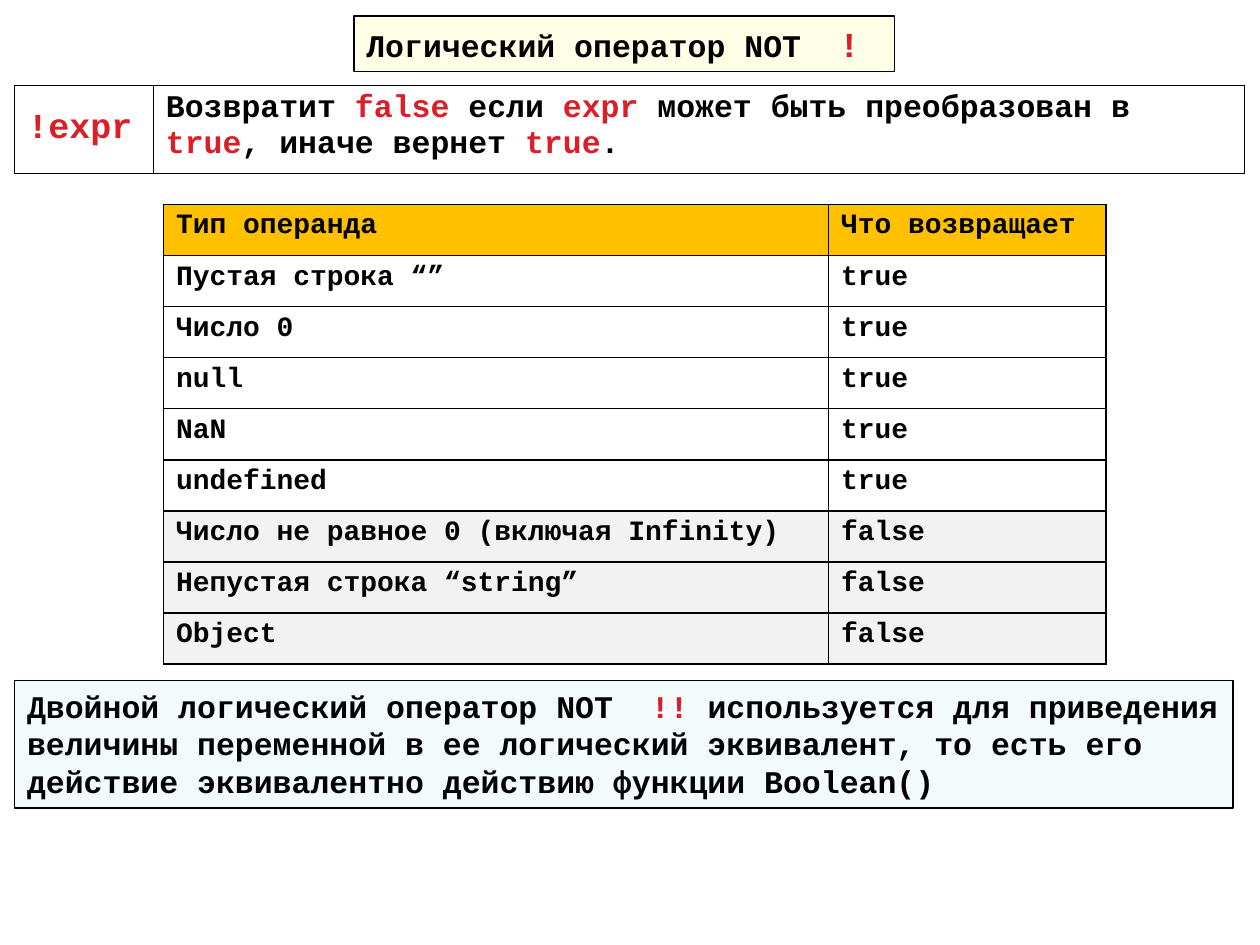
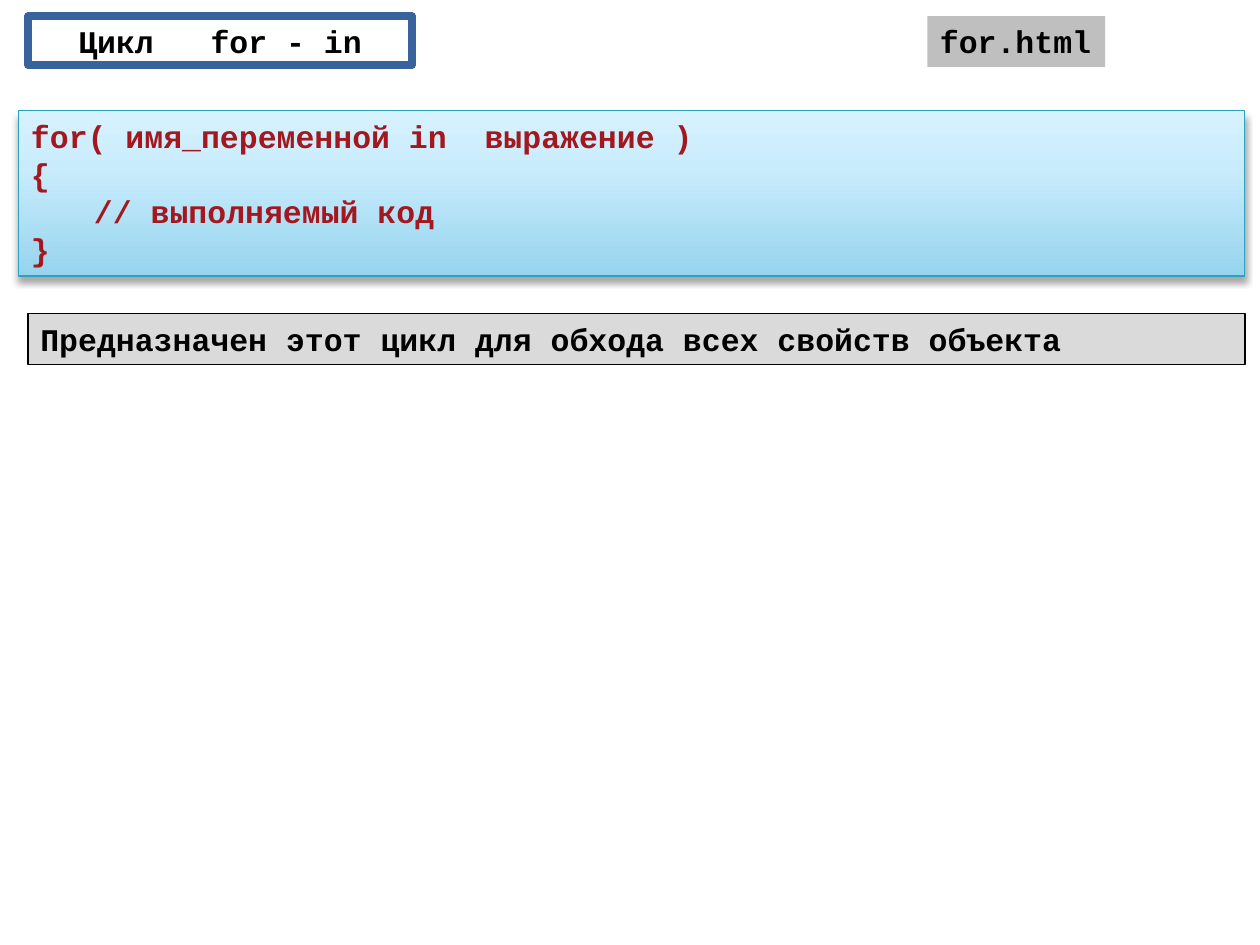
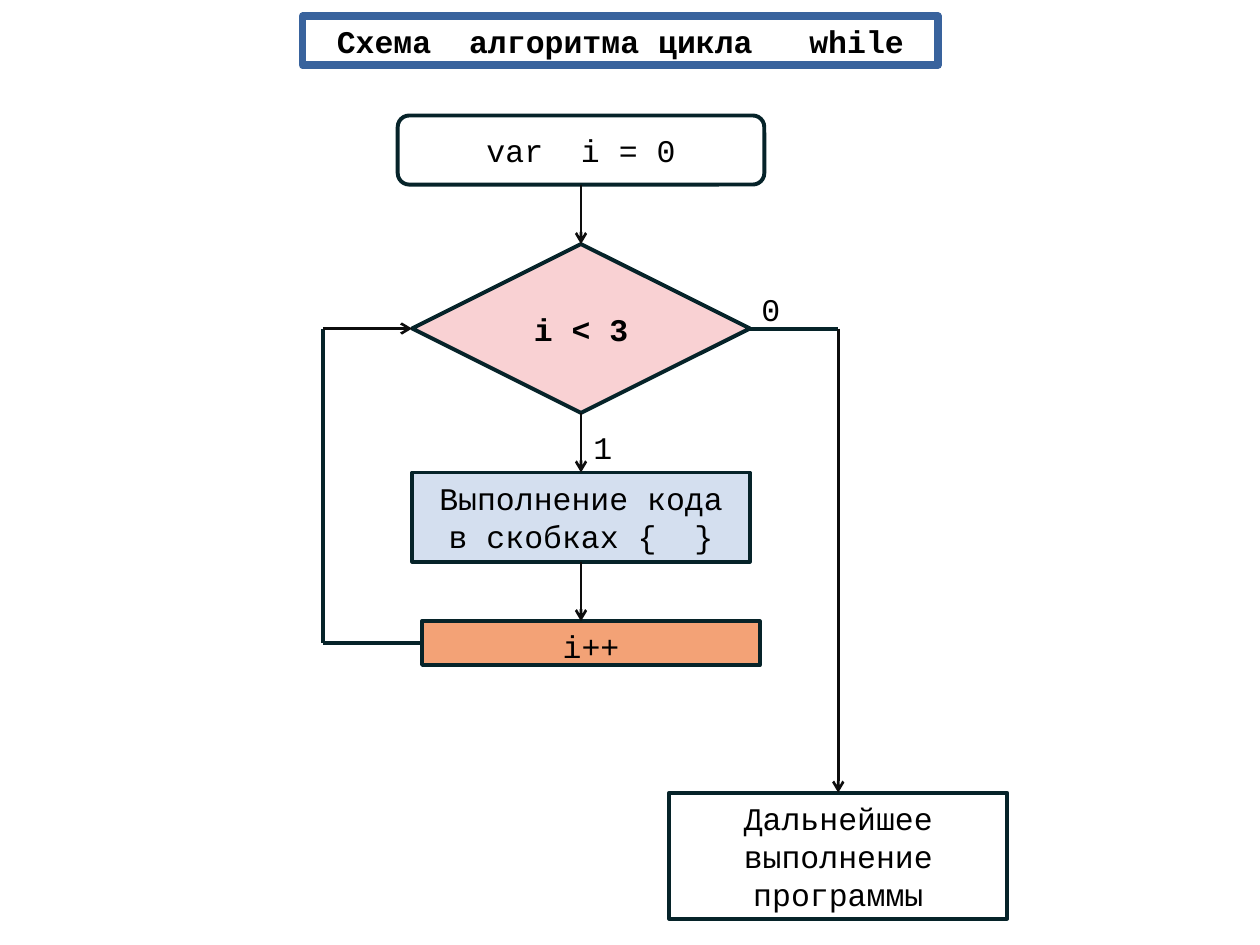
from lxml import etree
from pptx import Presentation
from pptx.dml.color import RGBColor
from pptx.enum.shapes import MSO_CONNECTOR, MSO_SHAPE
from pptx.enum.text import MSO_ANCHOR, PP_ALIGN
from pptx.oxml.ns import qn
from pptx.util import Pt

RECT = MSO_SHAPE.RECTANGLE
ROUNDED = MSO_SHAPE.ROUNDED_RECTANGLE
DIAMOND = MSO_SHAPE.DIAMOND
STRAIGHT = MSO_CONNECTOR.STRAIGHT
LEFT, CENTER = PP_ALIGN.LEFT, PP_ALIGN.CENTER
TOP, MIDDLE = MSO_ANCHOR.TOP, MSO_ANCHOR.MIDDLE
SIDE_TOP, SIDE_LEFT, SIDE_BOTTOM, SIDE_RIGHT = range(4)

# Shared look
FONT = "Courier New"
BLACK, WHITE = "000000", "FFFFFF"
RED, DARK_RED = "DA1F28", "A3171E"
TITLE_BLUE = "39639D"
FLOW_LINE, ARROW_LINE = "062329", "0D0D0D"
TITLE_TOP = 9.25


def rgb(value):
    return RGBColor.from_string(value)


def sub(parent, tag, **attributes):
    return etree.SubElement(parent, qn(tag), attributes)


# Text: a paragraph is a string or a list of runs;
# a run is a string or a tuple (text, colour[, size])
def write(frame, *paragraphs, size=18, color=BLACK, bold=True, align=LEFT,
          leading=None):
    for index, runs in enumerate(paragraphs):
        paragraph = frame.paragraphs[0] if index == 0 else frame.add_paragraph()
        paragraph.alignment = align
        if leading:
            paragraph.line_spacing = Pt(leading)
        for item in [runs] if isinstance(runs, str) else runs:
            text, run_color, run_size = (
                (item, color, size) if isinstance(item, str)
                else (*item, size)[:3])
            run = paragraph.add_run()
            run.text = text
            run.font.name = FONT
            run.font.size = Pt(run_size)
            run.font.bold = bold
            run.font.color.rgb = rgb(run_color)


def add_box(slide, at, *paragraphs, kind=RECT, fill=None, opacity=None,
            line=None, width=0.75, anchor=TOP, wrap=True, leading=21.6,
            **text_format):
    box = slide.shapes.add_shape(kind, *map(Pt, at))
    box.shadow.inherit = False
    if fill:
        box.fill.solid()
        box.fill.fore_color.rgb = rgb(fill)
        if opacity:
            color = box.fill._xPr.find(qn("a:solidFill"))[0]
            sub(color, "a:alpha", val=str(opacity * 1000))
    else:
        box.fill.background()
    if line:
        box.line.color.rgb = rgb(line)
        box.line.width = Pt(width)
    else:
        box.line.fill.background()
    box.text_frame.word_wrap = wrap
    box.text_frame.vertical_anchor = anchor
    write(box.text_frame, *paragraphs, leading=leading, **text_format)
    return box


def add_title(slide, left, width, text):
    add_box(slide, (left, TITLE_TOP, width, 28), text, fill=WHITE,
            line=TITLE_BLUE, width=4.33, anchor=MIDDLE, align=CENTER)


def add_step(slide, at, *paragraphs, bold=False, **options):
    return add_box(slide, at, *paragraphs, line=FLOW_LINE, width=2.25,
                   align=CENTER, bold=bold, **options)


def add_label(slide, left, top, text):
    label = slide.shapes.add_textbox(Pt(left), Pt(top), Pt(28), Pt(28.8))
    label.text_frame.word_wrap = True
    write(label.text_frame, text, bold=False, leading=21.6)


def add_gradient(box, stops, angle):
    box.fill.gradient()
    box.fill.gradient_angle = angle
    stop_list = box.fill._xPr.find(qn("a:gradFill")).find(qn("a:gsLst"))
    for stop in list(stop_list):
        stop_list.remove(stop)
    for position, color in stops:
        stop = sub(stop_list, "a:gs", pos=str(position * 1000))
        sub(stop, "a:srgbClr", val=color)


def add_shadow(box, opacity, blur, distance):
    effects = box._element.spPr.find(qn("a:effectLst"))
    shadow = sub(effects, "a:outerShdw", blurRad=str(Pt(blur)),
                 dist=str(Pt(distance)), dir="5400000", rotWithShape="0")
    color = sub(shadow, "a:srgbClr", val=BLACK)
    sub(color, "a:alpha", val=str(opacity * 1000))


def add_line(slide, start, end, arrow=False):
    """Each end is a point (x, y) or a pair (shape, side)."""
    joined = [not isinstance(tip[0], (int, float)) for tip in (start, end)]
    points = [(0, 0) if is_joined else tip
              for is_joined, tip in zip(joined, (start, end))]
    link = slide.shapes.add_connector(
        STRAIGHT, *(Pt(value) for point in points for value in point))
    if joined[0]:
        link.begin_connect(*start)
    if joined[1]:
        link.end_connect(*end)
    link.line.color.rgb = rgb(ARROW_LINE if arrow else FLOW_LINE)
    link.line.width = Pt(1.5 if arrow else 2.25)
    if arrow:
        sub(link.line._get_or_add_ln(), "a:tailEnd", type="arrow")
    sub(link._element.spPr, "a:effectLst")


def add_grid(slide, left, top, widths, row_height, row_count):
    table = slide.shapes.add_table(
        row_count, len(widths), Pt(left), Pt(top), Pt(sum(widths)),
        Pt(row_height * row_count)).table
    table.first_row = table.horz_banding = False
    for column, width in zip(table.columns, widths):
        column.width = Pt(width)
    for row in table.rows:
        row.height = Pt(row_height)
    return table


def fill_cell(cell, text, fill=None, anchor=TOP, **text_format):
    properties = cell._tc.get_or_add_tcPr()
    for side in ("a:lnL", "a:lnR", "a:lnT", "a:lnB"):
        border = sub(properties, side, w=str(Pt(1)))
        sub(sub(border, "a:solidFill"), "a:srgbClr", val=BLACK)
    if fill:
        cell.fill.solid()
        cell.fill.fore_color.rgb = rgb(fill)
    else:
        cell.fill.background()
    cell.vertical_anchor = anchor
    write(cell.text_frame, text, **text_format)


# Slide 1: the NOT operator
def build_not_operator(slide):
    add_box(slide, (202.25, TITLE_TOP, 309, 31.7),
            ["Логический оператор NOT  ", ("!", RED, 20), " "],
            fill="FFFF00", opacity=9, line=BLACK, wrap=False, leading=24)

    results = [
        ("Тип операнда", "Что возвращает", "FFC000"),
        ("Пустая строка “”", "true", None),
        ("Число 0", "true", None),
        ("null", "true", None),
        ("NaN", "true", None),
        ("undefined", "true", None),
        ("Число не равное 0 (включая Infinity)", "false", "F2F2F2"),
        ("Непустая строка “string”", "false", "F2F2F2"),
        ("Object", "false", "F2F2F2"),
    ]
    table = add_grid(slide, 93.5, 116.75, (380, 158.5), 29.2, len(results))
    for row, (operand, result, fill) in enumerate(results):
        for column, text in enumerate((operand, result)):
            fill_cell(table.cell(row, column), text, fill=fill, size=16)

    add_box(slide, (8.4, 388.8, 696.25, 72.9),
            ["Двойной логический оператор NOT  ", ("!! ", RED),
             "используется для приведения величины переменной в ее "
             "логический эквивалент, то есть его действие эквивалентно "
             "действию функции Boolean()"],
            fill="7ACBE0", opacity=9, line=BLACK)

    definition = add_grid(slide, 8.4, 48.75, (79.25, 623.5), 50.5, 1)
    fill_cell(definition.cell(0, 0), "!expr", anchor=MIDDLE, size=20, color=RED)
    fill_cell(definition.cell(0, 1),
              ["Возвратит ", ("false ", RED), "если ", ("expr ", RED),
               "может быть преобразован в  ", ("true", RED),
               ", иначе вернет ", ("true", RED), "."])


# Slide 2: the for-in loop
def build_for_in(slide):
    add_title(slide, 16, 219.5, "Цикл   for - in")
    add_box(slide, (530, TITLE_TOP, 101.5, 29), "for.html", fill="BFBFBF",
            wrap=False)
    syntax = add_box(slide, (10.6, 63.25, 700.75, 94.5),
                     "for( имя_переменной in  выражение )", "{",
                     "\t// выполняемый код", "}",
                     line="2DA2BF", color=DARK_RED)
    add_gradient(syntax, [(0, "96D4EE"), (65, "C9ECFC"), (100, "D7F2FF")], 90)
    add_shadow(syntax, opacity=35, blur=4, distance=3)
    add_box(slide, (16, 179.25, 695.5, 29),
            "Предназначен этот цикл для обхода всех свойств объекта",
            fill="DADADA", line=BLACK)


# Slide 3: flowchart of the while loop
def build_while_flow(slide):
    add_title(slide, 173, 363, "Схема  алгоритма цикла   while")

    axis, step_width, gap = 332, 193, 34
    step_left = axis - step_width / 2
    exit_axis, loop_x = 479, 184.5
    start_width, start_top, start_height = 209.5, 66, 39.5
    test_top, test_height = start_top + start_height + gap, 96.5
    body_top, body_height = test_top + test_height + gap, 51
    increment_top, increment_height = body_top + body_height + gap, 25
    test_middle = test_top + test_height / 2
    increment_middle = increment_top + increment_height / 2

    # Steps
    start = add_step(slide, (axis - start_width / 2, start_top, start_width,
                             start_height),
                     "var  i = 0", kind=ROUNDED, anchor=MIDDLE)
    test = add_step(slide, (step_left, test_top, step_width, test_height),
                    "i < 3", kind=DIAMOND, fill="F9D1D3", anchor=MIDDLE,
                    bold=True)
    body = add_step(slide, (step_left, body_top, step_width, body_height),
                    "Выполнение кода", "в скобках {  }", fill="D4DFEF")
    increment = add_step(slide, (step_left + 5.7, increment_top, step_width,
                                 increment_height), "i++", fill="F3A276")
    further = add_step(slide, (exit_axis - step_width / 2, 453, step_width, 72),
                       "Дальнейшее выполнение программы", anchor=MIDDLE)
    add_label(slide, axis, 241.25, "1")
    add_label(slide, 428, 162, "0")

    # Main path
    add_line(slide, (start, SIDE_BOTTOM), (test, SIDE_TOP), arrow=True)
    add_line(slide, (test, SIDE_BOTTOM), (body, SIDE_TOP), arrow=True)
    add_line(slide, (body, SIDE_BOTTOM), (axis, increment_top), arrow=True)

    # Way back to the test
    add_line(slide, (increment, SIDE_LEFT), (loop_x, increment_middle))
    add_line(slide, (loop_x, test_middle), (loop_x, increment_middle))
    add_line(slide, (loop_x, test_middle), (test, SIDE_LEFT), arrow=True)

    # Way out of the loop
    add_line(slide, (exit_axis, test_middle), (test, SIDE_RIGHT))
    add_line(slide, (exit_axis, test_middle), (further, SIDE_TOP), arrow=True)


def main():
    deck = Presentation()
    deck.slide_width, deck.slide_height = Pt(720), Pt(540)
    blank = deck.slide_layouts[6]
    for build in (build_not_operator, build_for_in, build_while_flow):
        build(deck.slides.add_slide(blank))
    deck.save("out.pptx")


if __name__ == "__main__":
    main()
